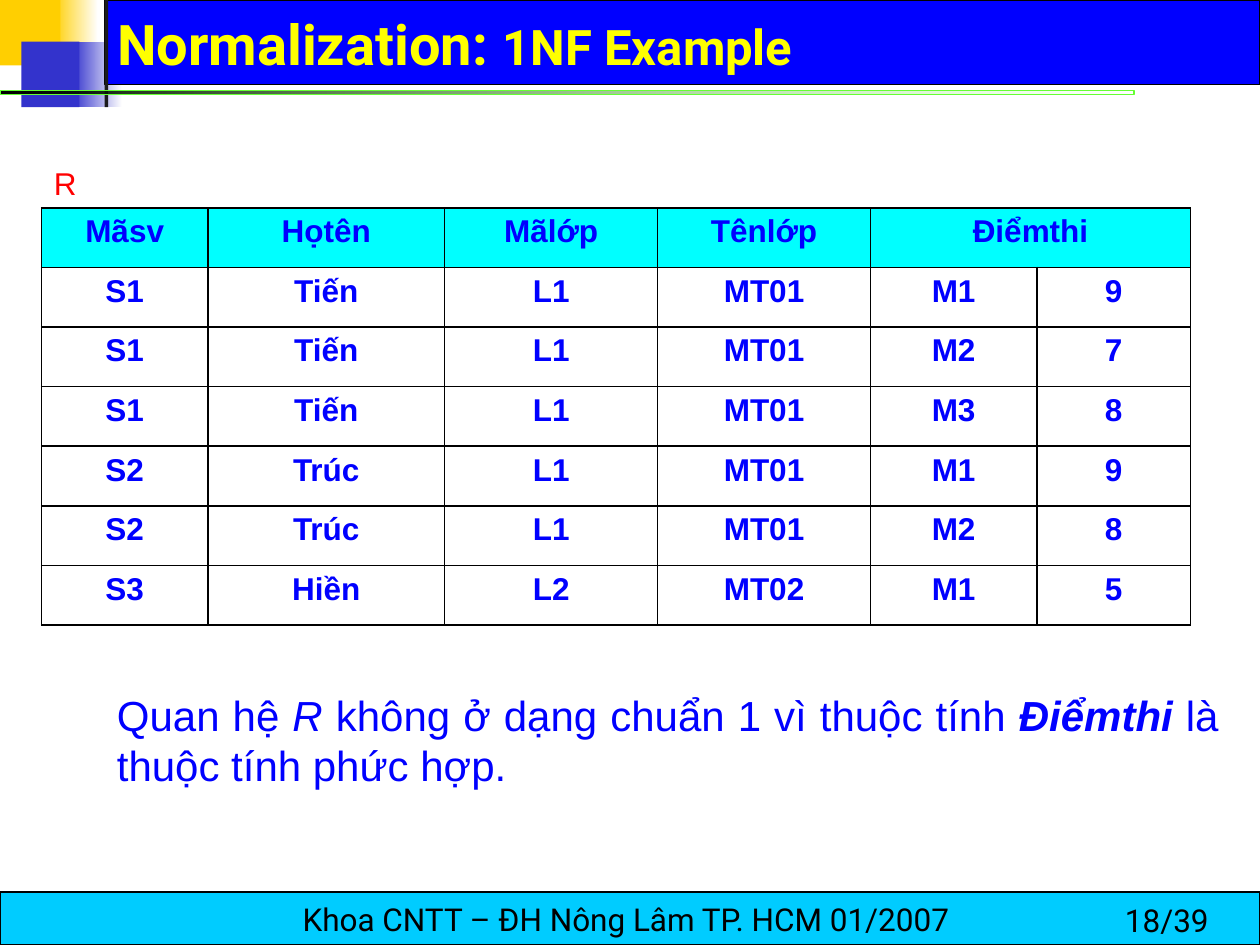
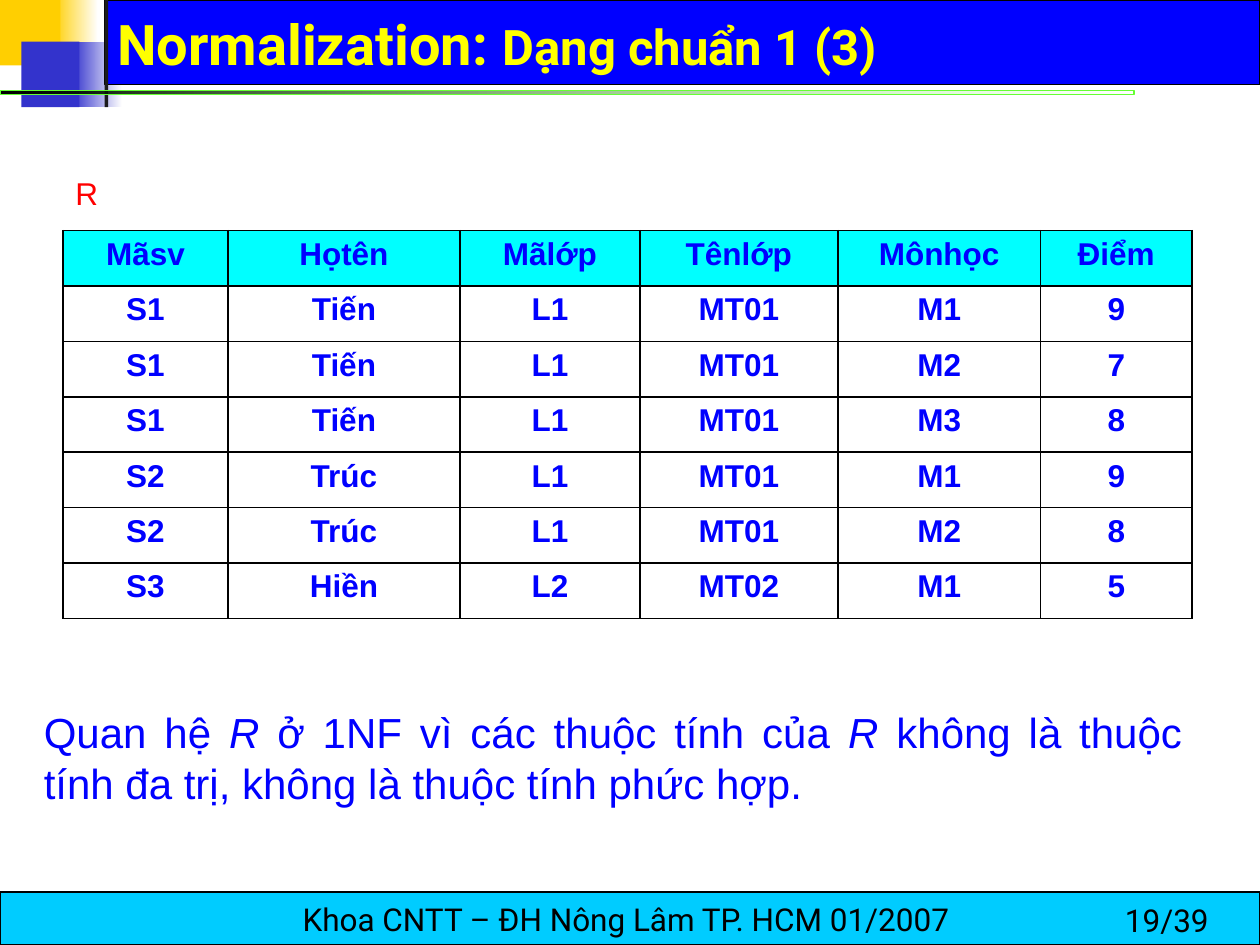
from lxml.etree import SubElement
from pptx import Presentation
from pptx.dml.color import RGBColor
from pptx.enum.shapes import MSO_SHAPE
from pptx.enum.text import MSO_ANCHOR, MSO_AUTO_SIZE, PP_ALIGN
from pptx.oxml.ns import qn
from pptx.util import Inches, Pt

BLACK, WHITE, YELLOW, RED = "000000", "FFFFFF", "FFFF00", "FF0000"
GOLD, INDIGO, BLUE, CHARCOAL = "FFCF01", "3333CC", "0000FF", "1C1C1C"
GREEN, SKY, CYAN = "66FF33", "00CCFF", "00FFFF"
TITLE_FONT, BODY_FONT = "Roboto", "Arial"
FOOTER = "Khoa CNTT – ĐH Nông Lâm TP. HCM 01/2007 "
PAGE_COUNT = 39

STUDENT_ROWS = [
    ["S1", "Tiến", "L1", "MT01", "M1", "9"],
    ["S1", "Tiến", "L1", "MT01", "M2", "7"],
    ["S1", "Tiến", "L1", "MT01", "M3", "8"],
    ["S2", "Trúc", "L1", "MT01", "M1", "9"],
    ["S2", "Trúc", "L1", "MT01", "M2", "8"],
    ["S3", "Hiền", "L2", "MT02", "M1", "5"],
]


def color(value):
    return RGBColor.from_string(value)


def format_run(run, size, font, text_color, bold=False, italic=False):
    run.font.size = Pt(size)
    run.font.name = font
    run.font.color.rgb = color(text_color)
    run.font.bold = bold
    run.font.italic = italic


def add_rectangle(slide, box, fill, fade=None, line=None, line_width=0.75):
    shape = slide.shapes.add_shape(MSO_SHAPE.RECTANGLE, *map(Inches, box))
    shape.shadow.inherit = False
    if fade:
        shape.fill.gradient()
        shape.fill.gradient_angle = 0
        for stop, stop_color in zip(shape.fill.gradient_stops, (fill, fade)):
            stop.color.rgb = color(stop_color)
    else:
        shape.fill.solid()
        shape.fill.fore_color.rgb = color(fill)
    if line:
        shape.line.color.rgb = color(line)
        shape.line.width = Pt(line_width)
    else:
        shape.line.fill.background()
    return shape


def add_text(slide, box, spans, size, font, text_color, align=PP_ALIGN.LEFT):
    text_box = slide.shapes.add_textbox(*map(Inches, box))
    text_box.text_frame.word_wrap = True
    paragraph = text_box.text_frame.paragraphs[0]
    paragraph.alignment = align
    for text, style in spans:
        run = paragraph.add_run()
        run.text = text
        format_run(run, size, font, text_color, "b" in style, "i" in style)


def add_corner_and_bands(slide):
    add_rectangle(slide, (0.42, 0, 0.36, 0.52), GOLD, fade=WHITE)
    add_rectangle(slide, (0.57, 0.33, 0.4, 0.52), INDIGO, fade=WHITE)
    add_rectangle(slide, (0.83, 0, 9.17, 0.67), BLUE, line=BLACK)
    add_rectangle(slide, (0, 0, 0.48, 0.52), GOLD)
    add_rectangle(slide, (0.17, 0.33, 0.46, 0.52), INDIGO)
    add_rectangle(slide, (0.83, 0, 0.03, 0.85), CHARCOAL)
    rule = add_rectangle(slide, (0, 0.72, 9, 0.03), BLACK, GREEN, GREEN, 0)
    clear_stop = rule.element.spPr.findall(".//" + qn("a:gs"))[-1]
    SubElement(clear_stop[0], qn("a:alpha"), val="0")


def add_footer(slide, page):
    band = add_rectangle(slide, (0, 7.08, 10, 0.42), SKY, line=BLACK)
    frame = band.text_frame
    frame.word_wrap = False
    frame.vertical_anchor = MSO_ANCHOR.MIDDLE
    frame.text = FOOTER
    frame.paragraphs[0].alignment = PP_ALIGN.CENTER
    format_run(frame.paragraphs[0].runs[0], 18, TITLE_FONT, BLACK)
    add_text(slide, (8.83, 7.1, 1.17, 0.4), [(f"{page}/{PAGE_COUNT}", "")],
             18, TITLE_FONT, BLACK)


def set_title(slide, topic):
    title = slide.shapes.title
    title.left, title.top = Inches(0.83), Inches(0.08)
    title.width, title.height = Inches(8.94), Inches(0.58)
    frame = title.text_frame
    frame.auto_size = MSO_AUTO_SIZE.NONE
    frame.vertical_anchor = MSO_ANCHOR.BOTTOM
    paragraph = frame.paragraphs[0]
    paragraph.alignment = PP_ALIGN.LEFT
    for text, size in (("Normalization: ", 32), (topic, 28)):
        run = paragraph.add_run()
        run.text = text
        format_run(run, size, TITLE_FONT, YELLOW, bold=True)
    title.element.getparent().append(title.element)


def add_slide(presentation, topic, page):
    slide = presentation.slides.add_slide(presentation.slide_layouts[5])
    add_corner_and_bands(slide)
    add_footer(slide, page)
    set_title(slide, topic)
    return slide


def add_cell_borders(cell):
    properties = cell._tc.get_or_add_tcPr()
    for side in ("lnL", "lnR", "lnT", "lnB"):
        border = SubElement(properties, qn(f"a:{side}"), w=str(Pt(1)))
        fill = SubElement(border, qn("a:solidFill"))
        SubElement(fill, qn("a:srgbClr"), val=BLACK)


def format_cell(cell, text, fill):
    add_cell_borders(cell)
    cell.fill.solid()
    cell.fill.fore_color.rgb = color(fill)
    if text:
        cell.text_frame.text = text
        paragraph = cell.text_frame.paragraphs[0]
        paragraph.alignment = PP_ALIGN.CENTER
        format_run(paragraph.runs[0], 18, BODY_FONT, BLUE, bold=True)


def add_relation_table(slide, left, top, widths, row_height, headers):
    rows = [headers] + STUDENT_ROWS
    frame = slide.shapes.add_table(
        len(rows), len(widths), Inches(left), Inches(top),
        Inches(sum(widths)), Inches(row_height * len(rows)))
    table = frame.table
    table.first_row = table.horz_banding = False
    for column, width in zip(table.columns, widths):
        column.width = Inches(width)
    for row_index, values in enumerate(rows):
        table.rows[row_index].height = Inches(row_height)
        fill = WHITE if row_index else CYAN
        for column_index, text in enumerate(values):
            format_cell(table.cell(row_index, column_index), text, fill)
    return table


def add_relation_name(slide, box):
    add_text(slide, box, [("R", "")], 18, BODY_FONT, RED)


def add_conclusion(slide, box, spans):
    add_text(slide, box, spans, 24, BODY_FONT, BLUE, PP_ALIGN.JUSTIFY)


def add_composite_slide(presentation):
    slide = add_slide(presentation, "1NF Example", 18)
    add_relation_name(slide, (0.33, 1.25, 1.52, 0.4))
    table = add_relation_table(
        slide, 0.33, 1.65, [1.32, 1.88, 1.69, 1.69, 1.32, 1.22], 0.473,
        ["Mãsv", "Họtên", "Mãlớp", "Tênlớp", "Điểmthi", ""])
    table.cell(0, 4).merge(table.cell(0, 5))
    add_conclusion(slide, (0.83, 5.42, 8.94, 0.91), [
        ("Quan hệ ", ""), ("R", "i"),
        (" không ở dạng chuẩn 1 vì thuộc tính ", ""), ("Điểmthi", "bi"),
        (" là thuộc tính phức hợp.", "")])


def add_first_normal_form_slide(presentation):
    slide = add_slide(presentation, "Dạng chuẩn 1 (3)", 19)
    add_relation_name(slide, (0.5, 1.33, 0.5, 0.4))
    add_relation_table(
        slide, 0.5, 1.83, [1.31, 1.84, 1.43, 1.57, 1.61, 1.2], 0.44,
        ["Mãsv", "Họtên", "Mãlớp", "Tênlớp", "Mônhọc", "Điểm"])
    add_conclusion(slide, (0.25, 5.56, 9.23, 0.91), [
        ("Quan hệ ", ""), ("R", "i"),
        (" ở 1NF vì các thuộc tính của ", ""), ("R", "i"),
        (" không là thuộc tính đa trị, không là thuộc tính phức hợp.", "")])


def main():
    presentation = Presentation()
    presentation.slide_width = Inches(10)
    presentation.slide_height = Inches(7.5)
    add_composite_slide(presentation)
    add_first_normal_form_slide(presentation)
    presentation.save("out.pptx")


if __name__ == "__main__":
    main()
